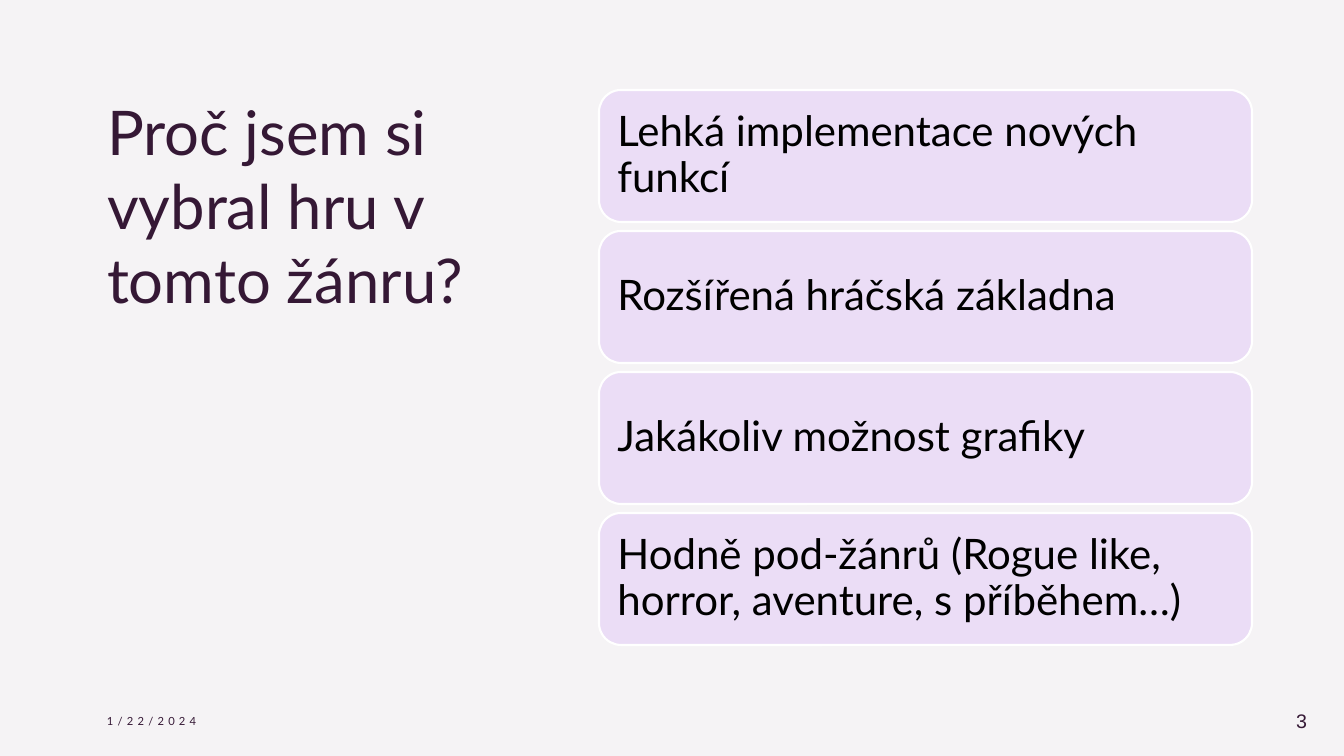
from dataclasses import dataclass

from pptx import Presentation
from pptx import util as u
from pptx.dml.color import RGBColor
from pptx.enum import shapes, text

EMU_PER_PX = 914400 / 100.8
COLOURS = {
    "background": "F5F3F5",
    "plum": "351835",
    "lilac": "EBDDF6",
    "white": "FFFFFF",
    "black": "000000",
}
REASONS = [
    "Lehká implementace nových funkcí",
    "Rozšířená hráčská základna",
    "Jakákoliv možnost grafiky",
    "Hodně pod-žánrů (Rogue like, horror, aventure, s příběhem…)",
]
CARD_LEFT, CARD_TOP, CARD_WIDTH, CARD_HEIGHT, CARD_PITCH = 599, 90, 653, 132, 141


@dataclass
class Footer:
    wording: str
    left: int
    width: int
    size: int
    font: str
    align: text.PP_ALIGN
    tracking: int = 0


FOOTERS = [
    Footer("1/22/2024", 97, 302, 8, "Lato", text.PP_ALIGN.LEFT, tracking=300),
    Footer("3", 1260, 57, 14, "Arial", text.PP_ALIGN.RIGHT),
]


def px(length: int) -> u.Emu:
    return u.Emu(round(length * EMU_PER_PX))


def colour(name: str) -> RGBColor:
    return RGBColor.from_string(COLOURS[name])


def write(box, wording: str, size: int, font: str, ink: str, align, anchor):
    """Fill the box with one formatted paragraph and return it."""
    frame = box.text_frame
    frame.word_wrap = True
    frame.auto_size = text.MSO_AUTO_SIZE.NONE
    frame.vertical_anchor = anchor
    frame.text = wording
    para = frame.paragraphs[0]
    para.alignment = align
    para.font.size = u.Pt(size)
    para.font.name = font
    para.font.color.rgb = colour(ink)
    return para


def add_title(page) -> None:
    title = page.shapes.title
    title.left, title.top, title.width, title.height = map(px, (97, 89, 401, 228))
    write(title, "Proč jsem si vybral hru v tomto žánru?", 44, "Lato", "plum",
          text.PP_ALIGN.LEFT, text.MSO_ANCHOR.TOP)


def add_footer(page, footer: Footer) -> None:
    box = page.shapes.add_textbox(px(footer.left), px(701), px(footer.width), px(40))
    para = write(box, footer.wording, footer.size, footer.font, "plum",
                 footer.align, text.MSO_ANCHOR.MIDDLE)
    if footer.tracking:
        para.runs[0]._r.get_or_add_rPr().set("spc", str(footer.tracking))


def add_card(page, index: int, reason: str) -> None:
    card = page.shapes.add_shape(
        shapes.MSO_SHAPE.ROUNDED_RECTANGLE, px(CARD_LEFT),
        px(CARD_TOP + index * CARD_PITCH), px(CARD_WIDTH), px(CARD_HEIGHT))
    card.shadow.inherit = False
    card.fill.solid()
    card.fill.fore_color.rgb = colour("lilac")
    card.line.color.rgb = colour("white")
    card.line.width = u.Pt(1.5)
    frame = card.text_frame
    frame.margin_left = frame.margin_right = px(12)
    frame.margin_top = frame.margin_bottom = px(12)
    para = write(card, reason, 30, "Lato", "black",
                 text.PP_ALIGN.LEFT, text.MSO_ANCHOR.MIDDLE)
    para.line_spacing = 0.9


def main() -> None:
    deck = Presentation()
    deck.slide_width, deck.slide_height = px(1344), px(756)
    page = deck.slides.add_slide(deck.slide_layouts.get_by_name("Title Only"))
    page.background.fill.solid()
    page.background.fill.fore_color.rgb = colour("background")
    add_title(page)
    for footer in FOOTERS:
        add_footer(page, footer)
    for index, reason in enumerate(REASONS):
        add_card(page, index, reason)
    deck.save("out.pptx")


if __name__ == "__main__":
    main()
